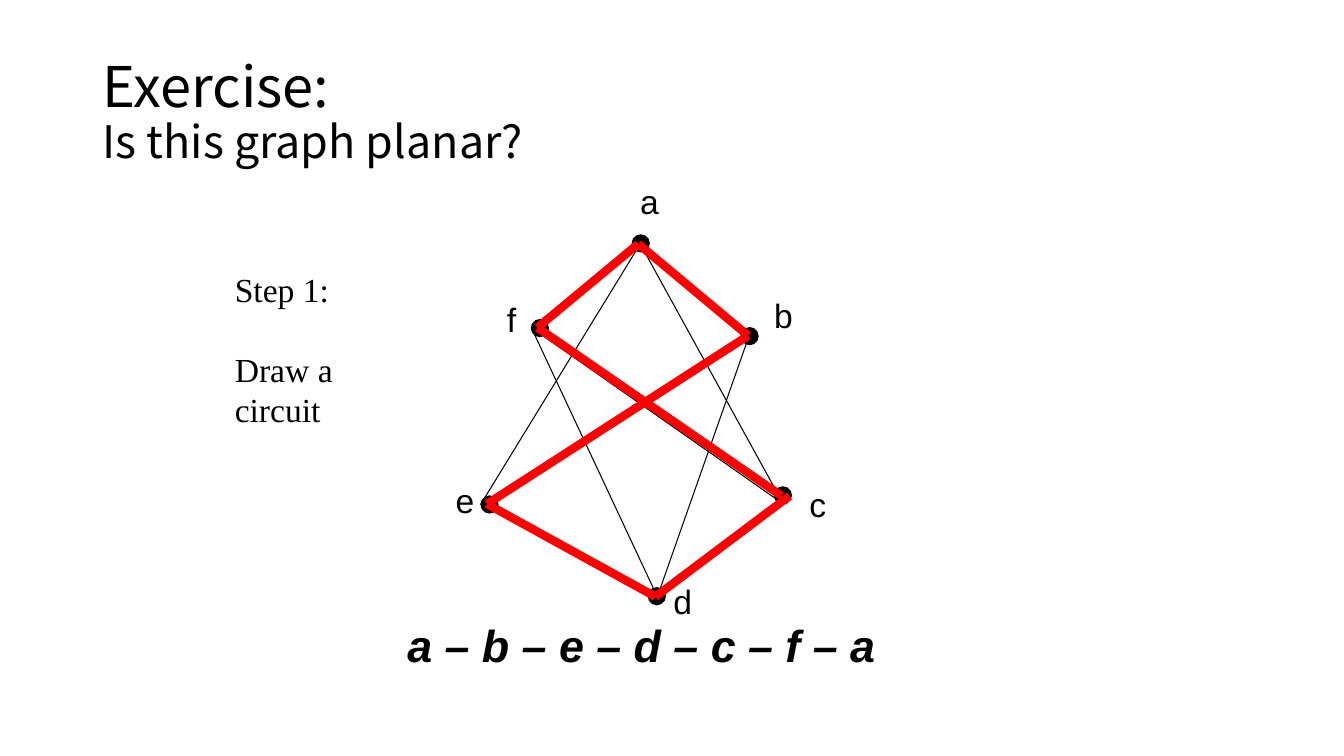
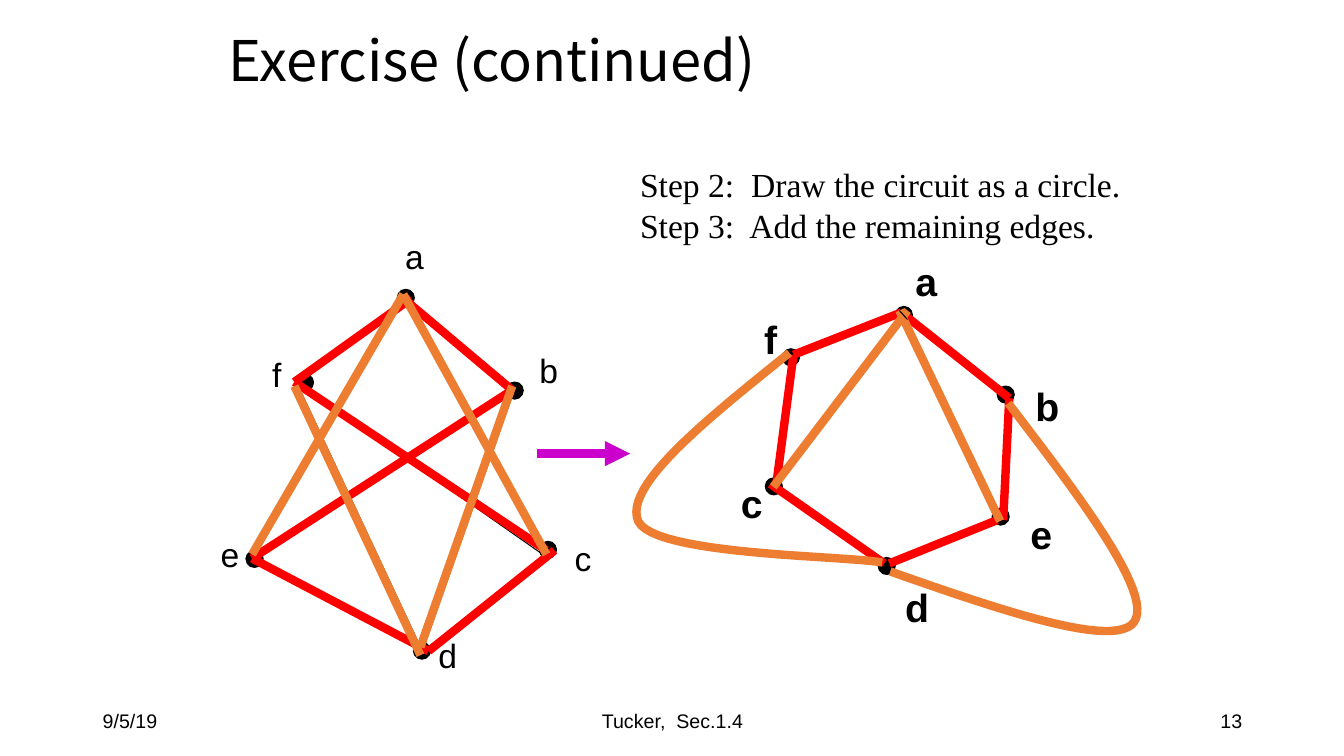
import lxml.etree
import pptx
import pptx.dml.color
import pptx.enum.shapes
import pptx.enum.text
import pptx.oxml.ns
import pptx.util

Inches = pptx.util.Inches
Pt = pptx.util.Pt
colour = pptx.dml.color.RGBColor.from_string
qn = pptx.oxml.ns.qn
ALIGN = pptx.enum.text.PP_ALIGN
ANCHOR = pptx.enum.text.MSO_ANCHOR

BLACK, RED, ORANGE, PURPLE = "000000", "FF0000", "ED7D31", "CC00CC"
SANS, SERIF, TITLE_FONT = "Arial", "Times New Roman", "Noto Sans CJK SC"
THIN, THICK = 0.75, 6
DOT = 0.17


def add_text(slide, box, lines, size, font=SANS, bold=False, italic=False,
             align=ALIGN.LEFT, anchor=ANCHOR.TOP, wrap=True, spacing=None, gap=0):
    frame = slide.shapes.add_textbox(*[Inches(length) for length in box]).text_frame
    frame.word_wrap = wrap
    frame.vertical_anchor = anchor
    for index, line in enumerate(lines):
        paragraph = frame.add_paragraph() if index else frame.paragraphs[0]
        paragraph.text = line
        paragraph.alignment = align
        if spacing:
            paragraph.line_spacing = spacing
        if index and gap:
            paragraph.space_before = Pt(gap)
        paragraph.font.name = font
        paragraph.font.size = Pt(size)
        paragraph.font.bold = bold
        paragraph.font.italic = italic
        paragraph.font.color.rgb = colour(BLACK)
    return frame


def add_route(slide, points, line_colour, width):
    """Join consecutive points with straight connectors; return the last one."""
    for start, end in zip(points, points[1:]):
        edge = slide.shapes.add_connector(
            pptx.enum.shapes.MSO_CONNECTOR.STRAIGHT,
            *[Inches(length) for length in (*start, *end)])
        edge.line.color.rgb = colour(line_colour)
        edge.line.width = Pt(width)
        lxml.etree.SubElement(edge._element.spPr, qn("a:effectLst"))
    return edge


deck = pptx.Presentation()
deck.slide_width, deck.slide_height = Inches(13.33), Inches(7.5)
question, solution = [deck.slides.add_slide(deck.slide_layouts[6]) for _ in range(2)]

# Titles
title_style = dict(size=40, font=TITLE_FONT, anchor=ANCHOR.MIDDLE, spacing=0.9)
heading = add_text(question, (0.92, 0.4, 11.5, 1.45), ["Exercise:"], **title_style).paragraphs[0]
heading.add_line_break()
subtitle = heading.add_run()
subtitle.text = "Is this graph planar?"
subtitle.font.size = Pt(32)
add_text(solution, (2.17, 0, 9, 1.25), ["Exercise (continued)"], **title_style)

# Given graph: edge end, dot corner and label box (left, top, width) of each vertex
vertices = {
    "a": ((6.35, 2.42), (6.27, 2.33), (6.25, 1.75, 0.39)),
    "b": ((7.43, 3.33), (7.35, 3.25), (7.58, 2.88, 0.39)),
    "c": ((7.77, 5), (7.68, 4.83), (7.93, 4.75, 0.37)),
    "d": ((6.52, 5.92), (6.43, 5.83), (6.58, 5.71, 0.39)),
    "e": ((4.77, 5), (4.77, 4.92), (4.42, 4.71, 0.39)),
    "f": ((5.27, 3.25), (5.27, 3.17), (4.93, 2.92, 0.29)),
}
edges = "ea ac dc de af fd db ba fc eb".split()
dots, labels = [], []
for slide, dx, dy in ((question, 0, 0), (solution, -2.33, 0.54)):
    for edge in edges:
        ends = [vertices[name][0] for name in edge]
        add_route(slide, [(x + dx, y + dy) for x, y in ends], BLACK, THIN)
    for name, (_, (x, y), (left, top, width)) in vertices.items():
        dots.append((slide, x + dx, y + dy))
        labels.append((slide, name, (left + dx, top + dy, width, 0.5), 24, False))

# Redrawn graph: dot corner and label box of each vertex
redrawn = {
    "a": ((8.88, 3.04), (8.98, 2.5, 0.42)),
    "b": ((9.89, 3.83), (10.17, 3.74, 0.44)),
    "c": ((7.59, 4.74), (7.25, 4.71, 0.42)),
    "d": ((8.71, 5.53), (8.88, 5.74, 0.44)),
    "e": ((9.84, 5.04), (10.12, 5.01, 0.42)),
    "f": ((7.76, 3.46), (7.48, 3.08, 0.33)),
}
for name, (corner, label_box) in redrawn.items():
    dots.append((solution, *corner))
    labels.append((solution, name, (*label_box, 0.57), 28, True))

# Vertex dots and labels
for slide, x, y in dots:
    dot = slide.shapes.add_shape(pptx.enum.shapes.MSO_SHAPE.OVAL,
                                 Inches(x), Inches(y), Inches(DOT), Inches(DOT))
    dot.shadow.inherit = False
    dot.fill.solid()
    dot.fill.fore_color.rgb = colour(BLACK)
    dot.line.color.rgb = colour(BLACK)
    dot.line.width = Pt(THIN)
for slide, name, box, size, bold in labels:
    add_text(slide, box, [name], size, bold=bold, wrap=False)

# Circuit in red
circuits = [
    (question, [(6.33, 2.42), (7.42, 3.33), (4.83, 5), (6.5, 5.92), (7.83, 4.92)]),
    (question, [(7.75, 4.92), (5.33, 3.25), (6.33, 2.42)]),
    (solution, [(4, 2.96), (5.08, 3.87), (2.5, 5.54), (4.25, 6.46), (5.5, 5.46)]),
    (solution, [(5.42, 5.46), (2.92, 3.79), (4.08, 2.96)]),
    (solution, [(8.94, 3.1), (10.01, 3.95), (9.95, 5.16)]),
    (solution, [(9.89, 5.16), (8.82, 5.59)]),
    (solution, [(8.77, 5.59), (7.64, 4.8)]),
    (solution, [(7.7, 4.8), (7.87, 3.52), (8.94, 3.1)]),
]
for slide, points in circuits:
    add_route(slide, points, RED, THICK)

# Remaining straight edges in orange
remaining = [
    [(4, 2.92), (5.42, 5.5)], [(9, 3.08), (7.67, 4.83)],
    [(2.92, 3.83), (4.17, 6.5)], [(4, 2.92), (2.5, 5.5)],
    [(8.92, 3.08), (9.92, 5.17)], [(5.08, 3.83), (4.17, 6.42)],
]
for points in remaining:
    add_route(solution, points, ORANGE, THICK)
add_route(solution, [(8.92, 3.08), (9, 3.17)], BLACK, THIN)

# Remaining curved edges f–d and b–d: chains of cubic Bézier control points
detours = [
    [(7.83, 3.5), (7.01, 4.16), (6.18, 4.82), (6.33, 5.17),
     (6.49, 5.51), (8.35, 5.51), (8.75, 5.58)],
    [(10, 4), (10.72, 4.94), (11.44, 5.89), (11.25, 6.17),
     (11.06, 6.44), (9.94, 6.06), (8.83, 5.67)],
]
STEPS = 24
for controls in detours:
    curve = []
    for first in range(0, len(controls) - 1, 3):
        for step in range(1, STEPS + 1):
            t = step / STEPS
            weights = ((1 - t) ** 3, 3 * t * (1 - t) ** 2, 3 * t ** 2 * (1 - t), t ** 3)
            curve.append([Inches(sum(w * point[axis] for w, point
                                     in zip(weights, controls[first:first + 4])))
                          for axis in (0, 1)])
    outline = solution.shapes.build_freeform(*[Inches(length) for length in controls[0]])
    outline.add_line_segments(curve, close=False)
    detour = outline.convert_to_shape()
    detour.shadow.inherit = False
    detour.fill.background()
    detour.line.color.rgb = colour(ORANGE)
    detour.line.width = Pt(THICK)

# Arrow from the given graph to the redrawn one
arrow = add_route(solution, [(5.33, 4.5), (6.25, 4.5)], PURPLE, THICK)
lxml.etree.SubElement(arrow.line._get_or_add_ln(), qn("a:tailEnd"), type="triangle")

# Steps and circuit sequence
add_text(question, (2.23, 2.62, 2.02, 1.72), ["Step 1:", "Draw a circuit"], 24, SERIF, gap=28)
add_text(question, (3.65, 6.08, 5.43, 0.63), ["a – b – e – d – c – f – a"], 32,
         bold=True, italic=True, align=ALIGN.CENTER)
add_text(solution, (6.25, 1.58, 5.01, 0.91),
         ["Step 2:  Draw the circuit as a circle.", "Step 3:  Add the remaining edges."],
         24, SERIF, wrap=False)

# Footer
for left, width, text, align in ((0.92, 3, "9/5/19", ALIGN.LEFT),
                                 (4.42, 4.5, "Tucker,  Sec.1.4", ALIGN.CENTER),
                                 (9.42, 3, "13", ALIGN.RIGHT)):
    add_text(solution, (left, 6.95, width, 0.4), [text], 14, align=align, anchor=ANCHOR.MIDDLE)

deck.save("out.pptx")
